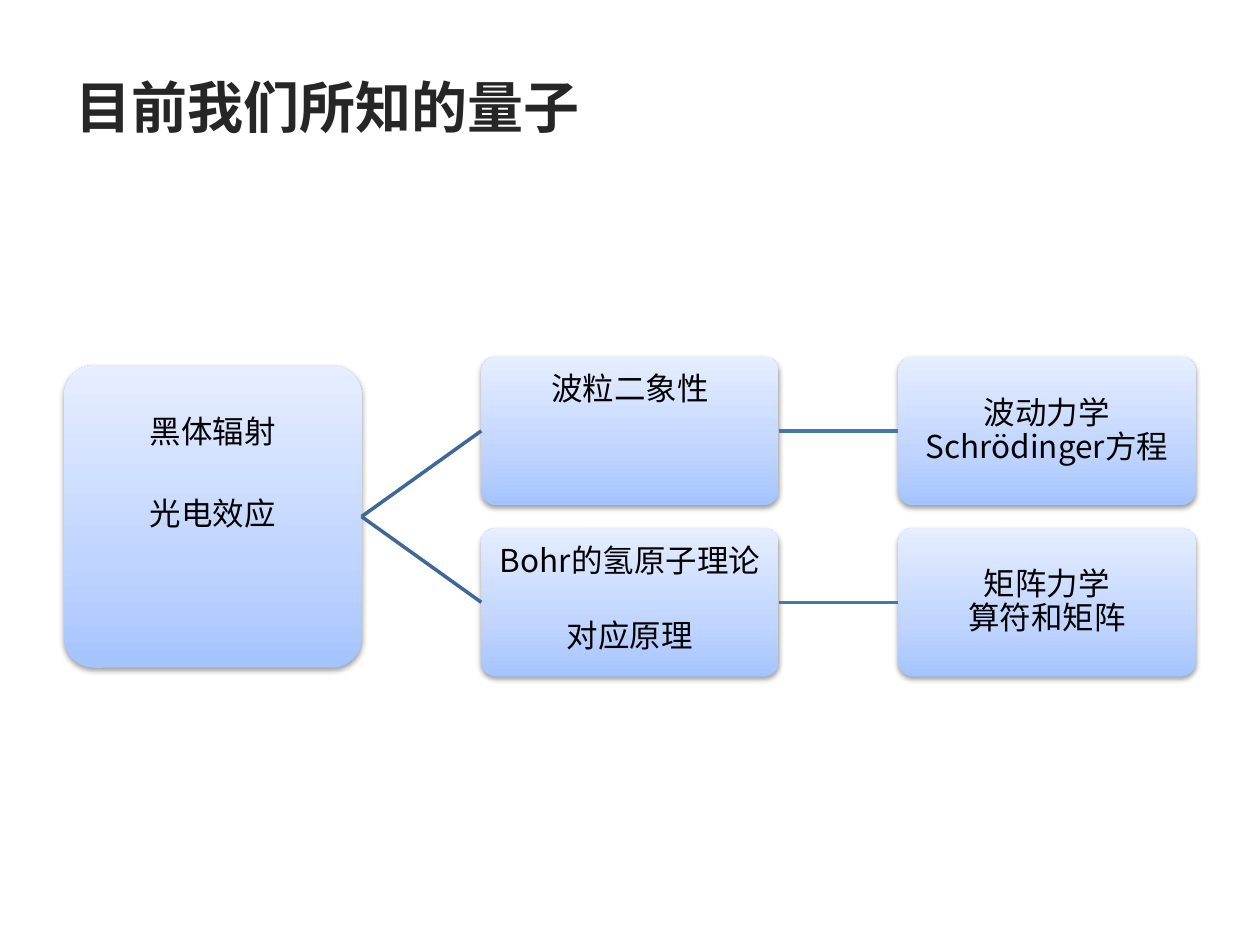
from copy import deepcopy

from pptx import Presentation
from pptx.dml.color import RGBColor
from pptx.enum.shapes import MSO_CONNECTOR, MSO_SHAPE
from pptx.enum.text import MSO_ANCHOR, PP_ALIGN
from pptx.oxml import parse_xml
from pptx.oxml.ns import nsdecls, qn
from pptx.util import Inches, Pt

COLORS = {"title": "262626", "text": "000000", "branch": "3F6797", "link": "4875AC",
          "bottom": "A4C4FF", "middle": "BFD4FF", "top": "E6EEFF", "shadow": "000000"}
STOPS = [(0, "bottom"), (0.35, "middle"), (1, "top")]
CJK = "Noto Sans CJK SC"
TITLE_FONT = {"name": "Arial", "size": Pt(32), "bold": True}
BOX_FONT = {"name": CJK, "size": Pt(18), "bold": False}

# Grid of the tree, in inches
LEFT, TOP = 0.51, 2.83
COL_STEP, ROW_STEP = 3.31, 1.36
BOX_W, BOX_H, ROOT_H = 2.36, 1.18, 2.4


def rgb(key):
    return RGBColor.from_string(COLORS[key])


def add_text(p, text, font, color):
    r = p.add_run()
    r.text = text
    for name, value in font.items():
        setattr(r.font, name, value)
    r.font.color.rgb = rgb(color)
    r.font._element.append(parse_xml(f'<a:ea {nsdecls("a")} typeface="{CJK}"/>'))


def add_title(slide, text):
    sp = slide.shapes.add_textbox(Inches(0.5), Inches(0.3), Inches(9), Inches(1.09))
    tf = sp.text_frame
    tf.word_wrap = True
    tf.vertical_anchor = MSO_ANCHOR.MIDDLE
    add_text(tf.paragraphs[0], text, TITLE_FONT, "title")


def style_box(sp):
    # Gradient with three stops, darkest at the bottom
    sp.fill.gradient()
    sp.fill.gradient_angle = 90
    stops = sp._element.spPr.find(".//" + qn("a:gsLst"))
    stops.insert(1, deepcopy(stops[0]))
    for stop, (position, key) in zip(sp.fill.gradient_stops, STOPS):
        stop.position = position
        stop.color.rgb = rgb(key)
    sp.line.fill.background()
    # Soft shadow straight below
    sp.shadow.inherit = False
    sp._element.spPr.find(qn("a:effectLst")).append(parse_xml(
        f'<a:outerShdw {nsdecls("a")} blurRad="40000" dist="20000" dir="5400000" rotWithShape="0">'
        f'<a:srgbClr val="{COLORS["shadow"]}"><a:alpha val="38000"/></a:srgbClr></a:outerShdw>'))


def add_box(slide, col, row, lines, height=BOX_H, inset=None, gap=0, spacing=0.9):
    """Box centred on its grid row; an inset sets the text from the top."""
    top = TOP + row * ROW_STEP + (BOX_H - height) / 2
    sp = slide.shapes.add_shape(MSO_SHAPE.ROUNDED_RECTANGLE, Inches(LEFT + col * COL_STEP),
                                Inches(top), Inches(BOX_W), Inches(height))
    sp.adjustments[0] = 0.1
    style_box(sp)
    tf = sp.text_frame
    tf.word_wrap = True
    tf.vertical_anchor = MSO_ANCHOR.MIDDLE if inset is None else MSO_ANCHOR.TOP
    tf.margin_left = tf.margin_right = Inches(0.05)
    tf.margin_top, tf.margin_bottom = Inches(inset or 0), 0
    for i, line in enumerate(lines):
        p = tf.paragraphs[0] if i == 0 else tf.add_paragraph()
        p.alignment = PP_ALIGN.CENTER
        p.line_spacing = spacing
        p.space_before = Pt(gap if i else 0)
        add_text(p, line, BOX_FONT, "text")
    return sp


def connect(slide, start, end, color):
    line = slide.shapes.add_connector(MSO_CONNECTOR.STRAIGHT, 0, 0, 0, 0)
    line.begin_connect(start, 3)
    line.end_connect(end, 1)
    line.line.color.rgb = rgb(color)
    line.line.width = Pt(2)
    line._element.spPr.append(parse_xml(f'<a:effectLst {nsdecls("a")}/>'))


def main():
    prs = Presentation()
    prs.slide_width, prs.slide_height = Inches(10), Inches(7.5)
    slide = prs.slides.add_slide(prs.slide_layouts[6])
    add_title(slide, "目前我们所知的量子")

    # Root, midway between the two rows
    root = add_box(slide, 0, 0.5, ["黑体辐射", "光电效应"], ROOT_H, inset=0.3, gap=25.5, spacing=1.0)

    # Each branch: a theory and the mechanics that follows from it
    branches = [(["波粒二象性"], ["波动力学", "Schrödinger方程"]),
                (["Bohr的氢原子理论", "对应原理"], ["矩阵力学", "算符和矩阵"])]
    for row, (theory, mechanics) in enumerate(branches):
        middle = add_box(slide, 1, row, theory, inset=0.1, gap=23.5)
        last = add_box(slide, 2, row, mechanics)
        connect(slide, root, middle, "branch")
        connect(slide, middle, last, "link")

    prs.save("out.pptx")


if __name__ == "__main__":
    main()
